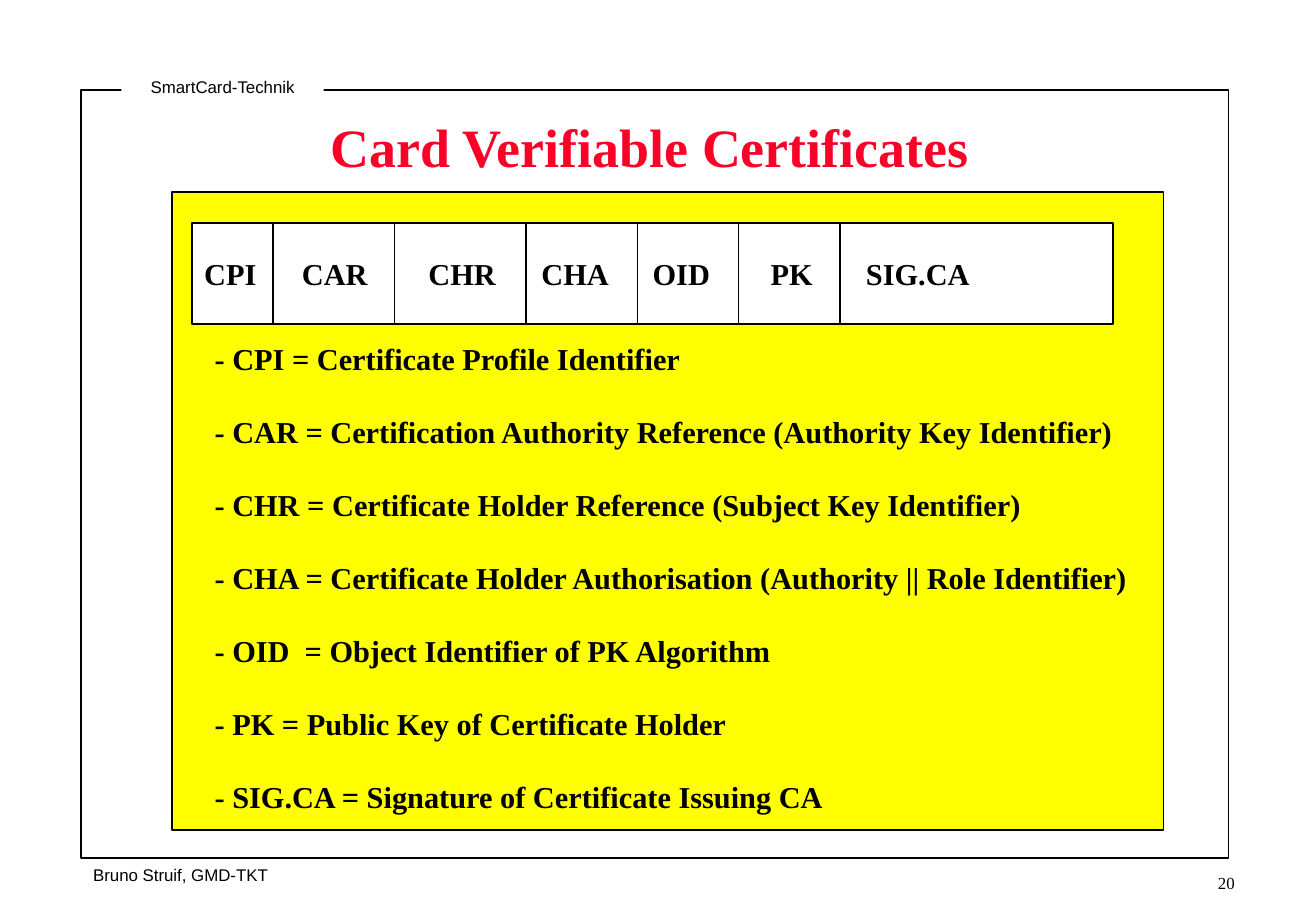
"""Build the slide on the fields of card verifiable certificates."""
import pptx
import pptx.dml.color
import pptx.enum.shapes
import pptx.enum.text
import pptx.oxml.ns
import pptx.util
from lxml import etree

Pt = pptx.util.Pt
Align = pptx.enum.text.PP_ALIGN
Anchor = pptx.enum.text.MSO_ANCHOR
BLACK = pptx.dml.color.RGBColor(0x00, 0x00, 0x00)
WHITE = pptx.dml.color.RGBColor(0xFF, 0xFF, 0xFF)
YELLOW = pptx.dml.color.RGBColor(0xFF, 0xFF, 0x00)
RED = pptx.dml.color.RGBColor(0xFC, 0x01, 0x28)
SERIF, SANS = "Times New Roman", "Arial"

TITLE = "Card Verifiable Certificates"
TOPIC = "SmartCard-Technik"
AUTHOR = "Bruno Struif, GMD-TKT"
PAGE = "20"
FIELDS = ["CPI", "CAR", "CHR", "CHA", "OID", "PK", "SIG.CA"]
FIELD_TABS = [58, 133, 200, 266, 336, 392.5]
DIVIDERS = [162, 234, 312, 378, 438, 498]
MEANINGS = [
    "- CPI = Certificate Profile Identifier",
    "- CAR = Certification Authority Reference (Authority Key Identifier)",
    "- CHR = Certificate Holder Reference (Subject Key Identifier)",
    "- CHA = Certificate Holder Authorisation (Authority || Role Identifier)",
    "- OID  = Object Identifier of PK Algorithm",
    "- PK = Public Key of Certificate Holder",
    "- SIG.CA = Signature of Certificate Issuing CA",
]
BAR_LEFT, BAR_TOP, BAR_WIDTH, BAR_HEIGHT = 114, 132, 546, 60


def write(shape, *lines, size=18, font=SERIF, color=BLACK, bold=False,
          align=Align.LEFT, anchor=Anchor.MIDDLE, gap=0, tabs=(), wrap=True):
    """Fill a shape with one formatted paragraph per line."""
    frame = shape.text_frame
    frame.auto_size = pptx.enum.text.MSO_AUTO_SIZE.NONE
    frame.word_wrap = wrap
    frame.vertical_anchor = anchor
    frame.margin_left = frame.margin_right = Pt(7.2)
    frame.margin_top = frame.margin_bottom = Pt(3.6)
    for index, line in enumerate(lines):
        paragraph = frame.add_paragraph() if index else frame.paragraphs[0]
        paragraph.alignment = align
        paragraph.space_before = Pt(gap if index else 0)
        if tabs:
            stops = etree.SubElement(paragraph._p.get_or_add_pPr(),
                                     pptx.oxml.ns.qn("a:tabLst"))
            for tab in tabs:
                etree.SubElement(stops, pptx.oxml.ns.qn("a:tab"),
                                 pos=str(int(Pt(tab))), algn="l")
        run = paragraph.add_run()
        run.text = line
        run.font.size = Pt(size)
        run.font.name = font
        run.font.bold = bold
        run.font.color.rgb = color


def add_box(slide, left, top, width, height, fill=None, line=None):
    """Add a rectangle with an optional fill and outline."""
    box = slide.shapes.add_shape(pptx.enum.shapes.MSO_SHAPE.RECTANGLE,
                                 Pt(left), Pt(top), Pt(width), Pt(height))
    box.shadow.inherit = False
    if fill is None:
        box.fill.background()
    else:
        box.fill.solid()
        box.fill.fore_color.rgb = fill
    if line is None:
        box.line.fill.background()
    else:
        box.line.color.rgb = line
        box.line.width = Pt(1)
    return box


def add_label(slide, left, top, width, height):
    """Add an empty text box."""
    return slide.shapes.add_textbox(Pt(left), Pt(top), Pt(width), Pt(height))


def add_divider(slide, x):
    """Draw an upright line across the field bar."""
    divider = slide.shapes.add_connector(
        pptx.enum.shapes.MSO_CONNECTOR.STRAIGHT,
        Pt(x), Pt(BAR_TOP + BAR_HEIGHT), Pt(x), Pt(BAR_TOP))
    divider.line.color.rgb = BLACK
    divider.line.width = Pt(1)
    etree.SubElement(divider._element.spPr, pptx.oxml.ns.qn("a:effectLst"))


def main():
    """Assemble and save the slide."""
    deck = pptx.Presentation()
    deck.slide_width = Pt(780.48)
    deck.slide_height = Pt(540)
    slide = deck.slides.add_slide(deck.slide_layouts[5])

    add_box(slide, 48.2, 53.5, 680.5, 455.2, line=BLACK)
    author = add_label(slide, 48.2, 509.3, 118, 18.7)
    write(author, AUTHOR, size=10, font=SANS, wrap=False)
    page = add_label(slide, 683.4, 513.7, 56, 18.7)
    write(page, PAGE, size=10, align=Align.RIGHT)
    topic = add_box(slide, 72, 42, 120, 18.7, fill=WHITE)
    write(topic, TOPIC, size=10, font=SANS, align=Align.CENTER)

    title = slide.shapes.title
    title.left, title.top = Pt(72), Pt(48.2)
    title.width, title.height = Pt(627), Pt(76.5)
    write(title, TITLE, size=32, color=RED, bold=True, align=Align.CENTER)

    add_box(slide, 102, 114, 588.2, 378.2, fill=YELLOW, line=BLACK)
    bar = add_box(slide, BAR_LEFT, BAR_TOP, BAR_WIDTH, BAR_HEIGHT,
                  fill=WHITE, line=BLACK)
    write(bar, "\t".join(FIELDS), bold=True, tabs=FIELD_TABS)
    for x in DIVIDERS:
        add_divider(slide, x)

    meanings = add_label(slide, 120.2, 198.4, 558, 288)
    write(meanings, *MEANINGS, bold=True, anchor=Anchor.TOP, gap=21.6,
          wrap=False)
    deck.save("out.pptx")


if __name__ == "__main__":
    main()
